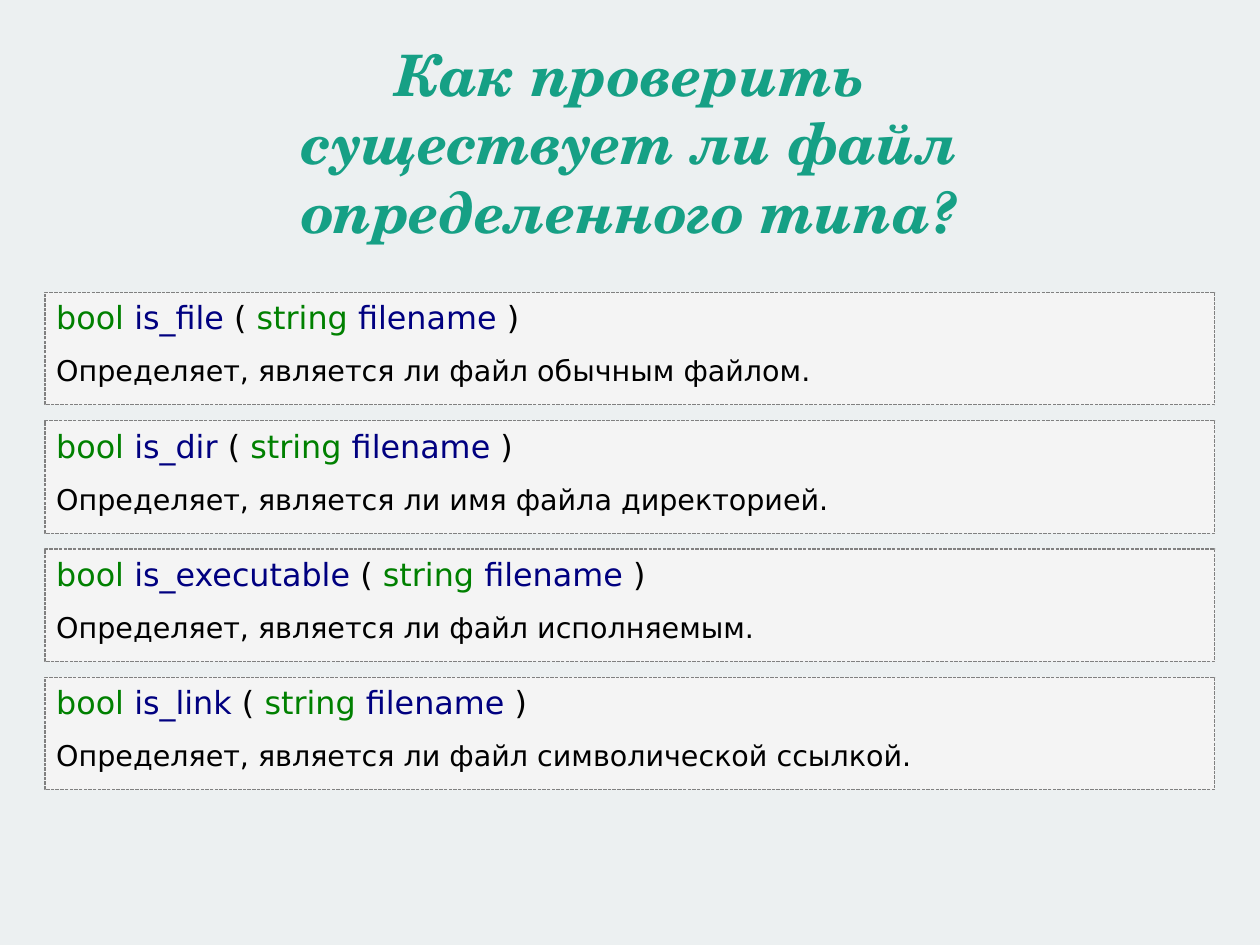
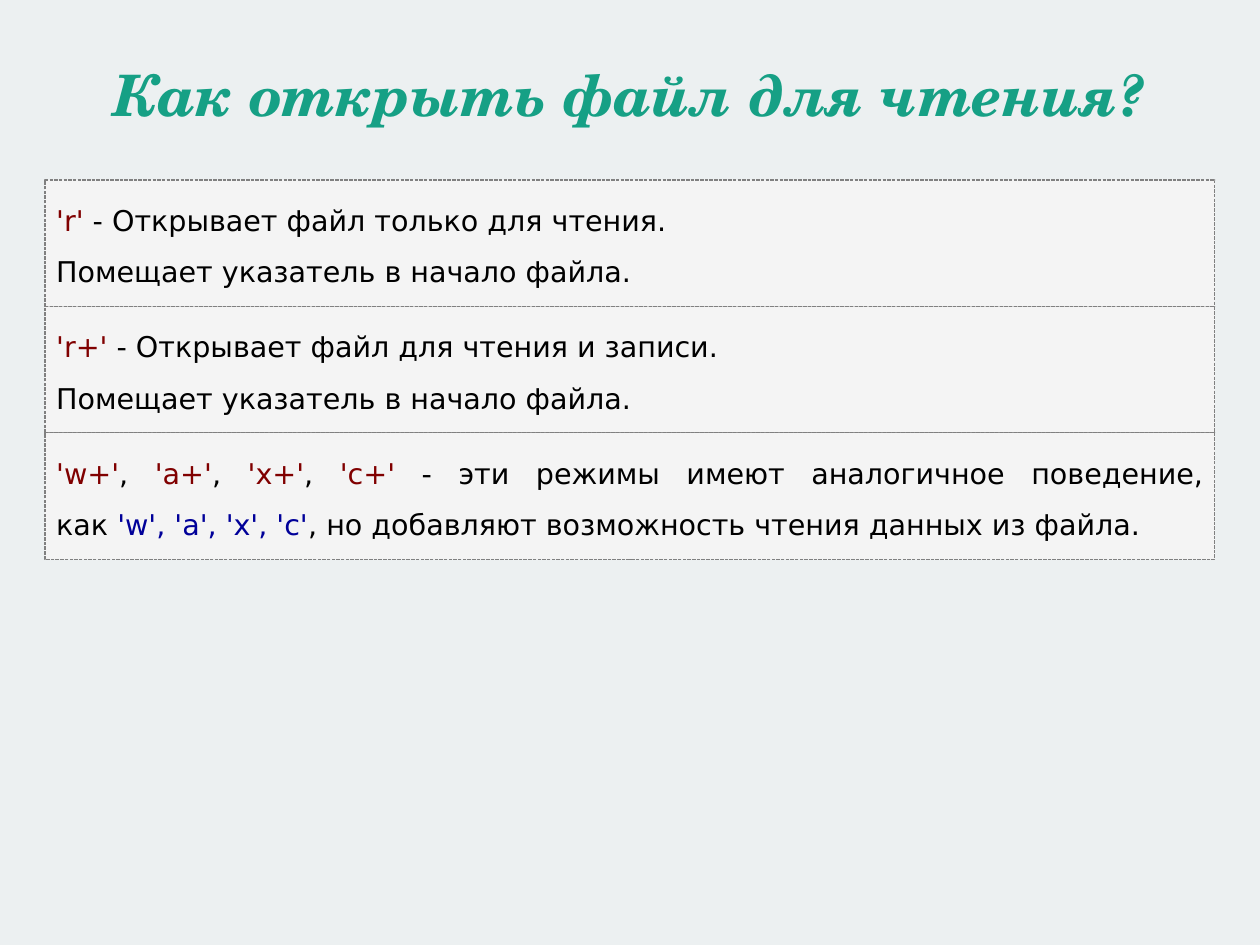
"""Build two slides on checking file types and file opening modes."""
from dataclasses import dataclass

from pptx import Presentation
from pptx import util as u
from pptx.dml.color import RGBColor
from pptx.enum import dml, shapes, text
from pptx.oxml.ns import qn

COLORS = {
    "background": "ECF0F1",
    "title": "16A085",
    "box": "F4F4F4",
    "border": "808080",
    "text": "000000",
    "type": "008000",
    "name": "000080",
    "mode": "800000",
    "base_mode": "000099",
}
TITLE_FONT, BODY_FONT = "TeX Gyre Schola", "DejaVu Sans"
TITLE_SIZE, SIGNATURE_SIZE, BODY_SIZE = 36, 20, 18
LEFT, WIDTH = 1, 26


@dataclass
class Span:
    text: str
    color: str = "text"


@dataclass
class Line:
    spans: list[Span]
    size: int = BODY_SIZE
    spacing: float = 1.5
    align: text.PP_ALIGN = text.PP_ALIGN.JUSTIFY


@dataclass
class Stack:
    top: float
    pitch: float
    height: float
    boxes: list[list[Line]]


def rgb(name: str) -> RGBColor:
    return RGBColor.from_string(COLORS[name])


def style_run(r, font: str, size: int, color: str) -> None:
    r.font.name = font
    r.font.size = u.Pt(size)
    r.font.color.rgb = rgb(color)


def style_master(prs) -> None:
    fill = prs.slide_master.background.fill
    fill.solid()
    fill.fore_color.rgb = rgb("background")
    style = prs.slide_master.element.find(".//" + qn("p:titleStyle"))
    style.find(qn("a:lvl1pPr")).find(qn("a:defRPr")).set("sz", str(TITLE_SIZE * 100))


def add_title_slide(prs, title: str, top: float, height: float):
    s = prs.slides.add_slide(prs.slide_layouts[5])
    sp = s.shapes.title
    sp.left, sp.top, sp.width, sp.height = map(u.Cm, (LEFT, top, WIDTH, height))
    tf = sp.text_frame
    tf.margin_left = tf.margin_right = tf.margin_top = tf.margin_bottom = 0
    tf.vertical_anchor = text.MSO_ANCHOR.MIDDLE
    tf.auto_size = text.MSO_AUTO_SIZE.NONE
    p = tf.paragraphs[0]
    p.text = title
    p.alignment = text.PP_ALIGN.CENTER
    for r in p.runs:
        style_run(r, TITLE_FONT, TITLE_SIZE, "title")
        r.font.bold = r.font.italic = True
    return s


def write_line(p, line: Line) -> None:
    p.alignment = line.align
    p.line_spacing = line.spacing
    for span in line.spans:
        for i, part in enumerate(span.text.split("\n")):
            if i:
                p.add_line_break()
            r = p.add_run()
            r.text = part
            style_run(r, BODY_FONT, line.size, span.color)


def add_box(s, top: float, height: float, lines: list[Line]) -> None:
    sp = s.shapes.add_shape(
        shapes.MSO_SHAPE.RECTANGLE, *map(u.Cm, (LEFT, top, WIDTH, height))
    )
    sp.shadow.inherit = False
    sp.fill.solid()
    sp.fill.fore_color.rgb = rgb("box")
    sp.line.color.rgb = rgb("border")
    sp.line.width = 0
    sp.line.dash_style = dml.MSO_LINE.SQUARE_DOT
    tf = sp.text_frame
    tf.word_wrap = True
    tf.vertical_anchor = text.MSO_ANCHOR.TOP
    for i, line in enumerate(lines):
        write_line(tf.add_paragraph() if i else tf.paragraphs[0], line)


def add_stack(s, stack: Stack) -> None:
    for i, lines in enumerate(stack.boxes):
        add_box(s, stack.top + i * stack.pitch, stack.height, lines)


def function_box(name: str, description: str) -> list[Line]:
    left = text.PP_ALIGN.LEFT
    signature = [
        Span("bool ", "type"),
        Span(name, "name"),
        Span(" ( "),
        Span("string", "type"),
        Span(" filename", "name"),
        Span(" )"),
    ]
    return [
        Line(signature, SIGNATURE_SIZE, 1.0, left),
        Line([Span(description)], align=left),
    ]


def mode_box(mode: str, description: str) -> list[Line]:
    return [
        Line([Span(mode, "mode"), Span(f" - {description}")]),
        Line([Span("Помещает указатель в начало файла.")]),
    ]


def combined_modes_box() -> list[Line]:
    spans = [Span("'w+'", "mode")]
    for mode in ("'a+'", "'x+'", "'c+'"):
        spans += [Span(", "), Span(mode, "mode")]
    spans += [
        Span(" - эти режимы имеют аналогичное поведение,\nкак "),
        Span("'w', 'a', 'x', 'c'", "base_mode"),
        Span(", но добавляют возможность чтения данных из файла."),
    ]
    return [Line(spans)]


def main() -> None:
    prs = Presentation()
    prs.slide_width, prs.slide_height = u.Cm(28), u.Cm(21)
    style_master(prs)

    s = add_title_slide(
        prs, "Как проверить\nсуществует ли файл\nопределенного типа?", 0.55, 5.2
    )
    add_stack(s, Stack(6.5, 2.85, 2.5, [
        function_box("is_file", "Определяет, является ли файл обычным файлом."),
        function_box("is_dir", "Определяет, является ли имя файла директорией."),
        function_box("is_executable", "Определяет, является ли файл исполняемым."),
        function_box("is_link", "Определяет, является ли файл символической ссылкой."),
    ]))

    s = add_title_slide(prs, "Как открыть файл для чтения?", 1, 2.15)
    add_stack(s, Stack(4, 2.81, 2.81, [
        mode_box("'r'", "Открывает файл только для чтения."),
        mode_box("'r+'", "Открывает файл для чтения и записи."),
        combined_modes_box(),
    ]))

    prs.save("out.pptx")


if __name__ == "__main__":
    main()
